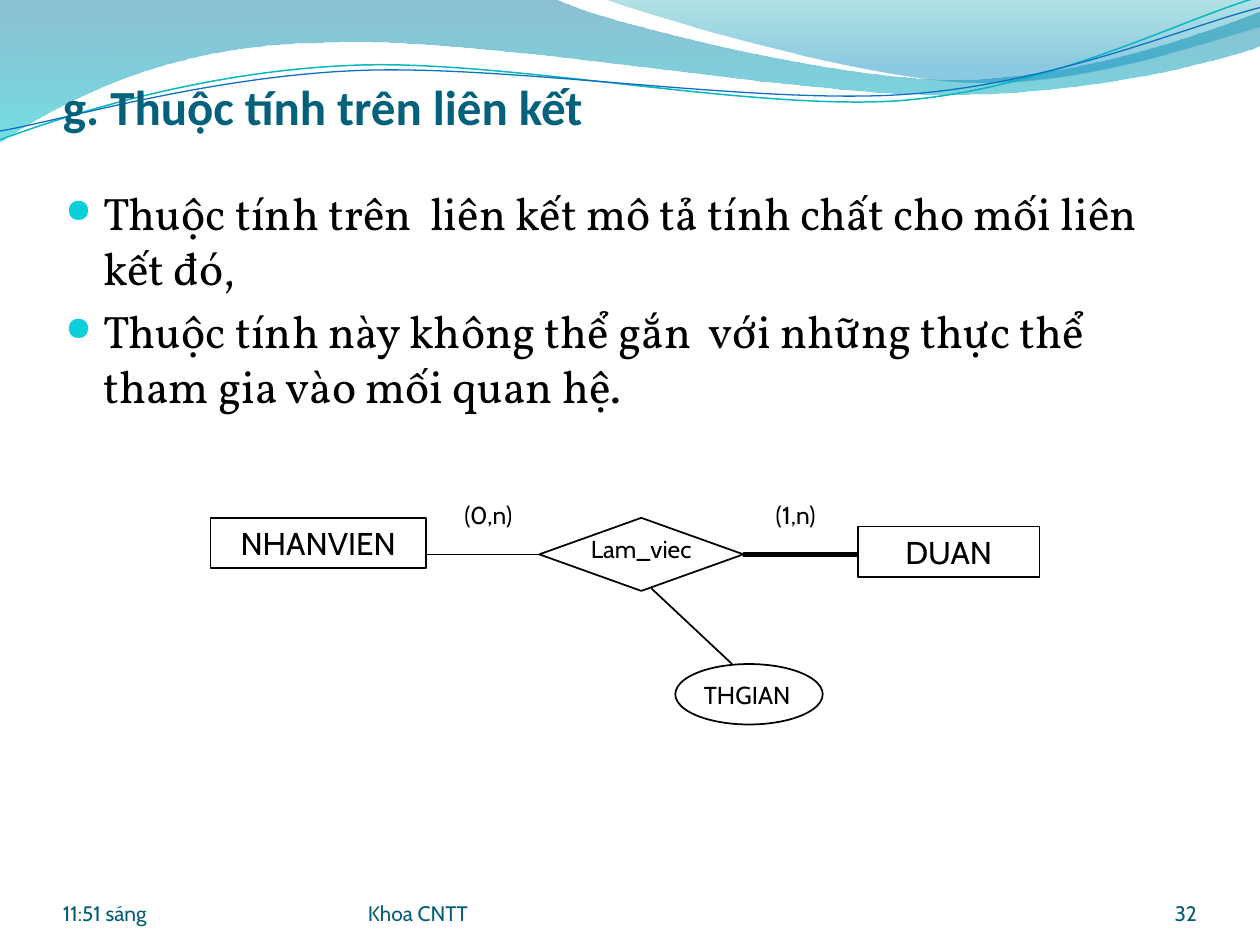
from dataclasses import dataclass
from math import cos, radians, sin

from lxml.etree import SubElement
from pptx import Presentation
from pptx.dml.color import RGBColor as RGB
from pptx.enum.shapes import MSO_CONNECTOR as CONN, MSO_SHAPE as SHAPE
from pptx.enum.text import MSO_ANCHOR as ANCHOR, PP_ALIGN as ALIGN
from pptx.oxml.ns import qn
from pptx.util import Inches, Pt


@dataclass(frozen=True)
class Theme:
    """Colours, fonts and type sizes of the slide."""
    ink: str = "000000"
    title: str = "04617B"
    footer: str = "045D75"
    bullet: str = "0BD0D9"
    teal: str = "09B7BF"
    blue: str = "0F6FC6"
    wide_wave: tuple = ((0, "0074A0", 45), (1, "00C4CD", 55))
    top_wave: tuple = ((0, "00A0A8", 30), (0.8, "008ABF", 45))
    title_font: str = "Calibri"
    body_font: str = "Vollkorn"
    label_font: str = "Cabin"
    title_size: float = 28
    body_size: float = 26
    entity_size: float = 18
    label_size: float = 14
    footer_size: float = 12
    bullet_percent: int = 73


T = Theme()
TILT = 357.3
WIDE_WAVE = [(0, -0.01), (4.4, -0.01), (4.76, 0.17, 6.64, 0.63, 7.58, 0.63),
             (8.53, 0.63, 9.58, 0.26, 10, 0.09), (10.01, 0.36),
             (9.83, 0.44, 8.7, 0.76, 7.46, 0.75), (6.22, 0.75, 3.82, 0.28, 2.57, 0.34),
             (1.29, 0.35, 0.46, 0.83, -0.01, 1.13)]
TOP_WAVE = [(4.79, -0.01), (5.09, 0.11, 6.82, 0.62, 7.69, 0.65),
            (8.56, 0.69, 9.61, 0.32, 10, 0.21), (10, 0)]
TEAL_LINE = [(0, 1.11), (0.48, 0.93, 1.58, 0.57, 2.77, 0.52),
             (3.95, 0.46, 5.93, 0.88, 7.13, 0.8), (8.33, 0.71, 9.38, 0.15, 9.98, -0.02)]
BLUE_LINE = [(0, 1.04), (0.47, 0.96, 1.64, 0.61, 2.83, 0.56),
             (4.03, 0.51, 5.97, 0.83, 7.17, 0.75), (8.36, 0.67, 9.41, 0.21, 10, 0.06)]


def pairs(segment):
    """Split a flat segment into its points."""
    return list(zip(segment[::2], segment[1::2]))


def turn(segments, degrees, cx, cy):
    """Rotate segments clockwise about a centre."""
    c, n = cos(radians(degrees)), sin(radians(degrees))
    return [tuple(v for x, y in pairs(seg)
                  for v in (cx + (x - cx) * c - (y - cy) * n, cy + (x - cx) * n + (y - cy) * c))
            for seg in segments]


def add_outline(s, segments, close):
    """Draw a freeform of straight and cubic segments given in inches."""
    ends = [(Inches(seg[-2]), Inches(seg[-1])) for seg in segments]
    fb = s.shapes.build_freeform(*ends[0])
    fb.add_line_segments(ends[1:], close=close)
    sp = fb.convert_to_shape()
    sp.shadow.inherit = False
    for step, seg in zip(list(sp.element.iter(qn("a:lnTo"))), segments[1:]):
        if len(seg) == 6:
            step.tag = qn("a:cubicBezTo")
            step.remove(step[0])
            for x, y in pairs(seg):
                SubElement(step, qn("a:pt"), x=str(Inches(x) - sp.left), y=str(Inches(y) - sp.top))
    return sp


def add_wave(s, segments, stops):
    """Draw a wave with a translucent vertical gradient."""
    sp = add_outline(s, segments, True)
    sp.line.fill.background()
    sp.fill.gradient()
    sp.fill.gradient_angle = 270
    for stop, (pos, color, _) in zip(sp.fill.gradient_stops, stops):
        stop.position = pos
        stop.color.rgb = RGB.from_string(color)
    for clr, (_, _, alpha) in zip(sp.element.iter(qn("a:srgbClr")), stops):
        SubElement(clr, qn("a:alpha"), val=str(alpha * 1000))


def add_wave_line(s, segments, cy, color, width):
    """Draw a thin tilted wave line."""
    sp = add_outline(s, turn(segments, -TILT, 4.99, cy), False)
    sp.rotation = TILT
    sp.fill.background()
    set_line(sp.line, width, color)


def set_line(line, width=1, color=T.ink):
    """Set the width and colour of a line."""
    line.width = Pt(width)
    line.color.rgb = RGB.from_string(color)


def add_bullet(p):
    """Give a paragraph a hanging round bullet."""
    pPr = p._p.get_or_add_pPr()
    pPr.set("marL", str(Inches(0.3)))
    pPr.set("indent", str(-Inches(0.3)))
    SubElement(SubElement(pPr, qn("a:buClr")), qn("a:srgbClr"), val=T.bullet)
    SubElement(pPr, qn("a:buSzPct"), val=str(T.bullet_percent * 1000))
    SubElement(pPr, qn("a:buChar"), char="●")


def put_text(sp, *lines, font=T.label_font, size=T.label_size, color=T.ink, bold=False,
             align=ALIGN.LEFT, anchor=ANCHOR.TOP, insets=(0.1, 0.05, 0.1, 0.05),
             bullet=False, gap=0):
    """Write formatted paragraphs into a shape."""
    tf = sp.text_frame
    tf.word_wrap = True
    tf.vertical_anchor = anchor
    tf.margin_left, tf.margin_top, tf.margin_right, tf.margin_bottom = map(Inches, insets)
    for i, line in enumerate(lines):
        p = tf.add_paragraph() if i else tf.paragraphs[0]
        p.alignment = align
        if i:
            p.space_before = Pt(gap)
        if bullet:
            add_bullet(p)
        r = p.add_run()
        r.text = line
        r.font.name, r.font.size, r.font.bold = font, Pt(size), bold
        r.font.color.rgb = RGB.from_string(color)


def add_text(s, box, *lines, **fmt):
    """Add a text box."""
    put_text(s.shapes.add_textbox(*map(Inches, box)), *lines, **fmt)


def add_node(s, kind, box):
    """Add an unfilled outlined shape."""
    sp = s.shapes.add_shape(kind, *map(Inches, box))
    sp.shadow.inherit = False
    sp.fill.background()
    set_line(sp.line)
    return sp


def add_link(s, start, end, width=1):
    """Add a straight connector."""
    cx = s.shapes.add_connector(CONN.STRAIGHT, *map(Inches, start + end))
    set_line(cx.line, width)
    SubElement(cx.element.spPr, qn("a:effectLst"))
    return cx


def add_diagram(s):
    """Draw the entity-relationship diagram."""
    for name, box in (("NHANVIEN", (1.67, 4.11, 1.71, 0.4)), ("DUAN", (6.81, 4.18, 1.44, 0.4))):
        put_text(add_node(s, SHAPE.RECTANGLE, box), name, size=T.entity_size, align=ALIGN.CENTER)
    relation = add_node(s, SHAPE.FLOWCHART_DECISION, (4.28, 4.11, 1.62, 0.58))
    add_node(s, SHAPE.OVAL, (5.36, 5.27, 1.17, 0.48))
    for label, box in (("Lam_viec", (4.46, 4.19, 1.26, 0.33)), ("(0,n)", (3.47, 3.92, 0.81, 0.33)),
                       ("(1,n)", (5.91, 3.92, 0.81, 0.33)), ("THGIAN", (5.39, 5.35, 1.08, 0.33))):
        add_text(s, box, label, align=ALIGN.CENTER)
    add_link(s, (3.38, 4.4), (4.28, 4.4)).end_connect(relation, 1)
    add_link(s, (5.9, 4.4), (6.81, 4.4), 3.25).begin_connect(relation, 3)
    add_link(s, (5.17, 4.67), (5.81, 5.27))


def main():
    """Build and save the slide."""
    prs = Presentation()
    prs.slide_width, prs.slide_height = Inches(10), Inches(7.5)
    s = prs.slides.add_slide(prs.slide_layouts[6])
    add_wave(s, WIDE_WAVE, T.wide_wave)
    add_wave(s, TOP_WAVE, T.top_wave)
    add_wave_line(s, TEAL_LINE, 0.58, T.teal, 0.85)
    add_wave_line(s, BLUE_LINE, 0.59, T.blue, 0.75)
    add_text(s, (0.5, 0.39, 9, 0.68), "g. Thuộc tính trên liên kết", font=T.title_font,
             size=T.title_size, color=T.title, bold=True, anchor=ANCHOR.BOTTOM,
             insets=(0, 0.05, 0, 0))
    add_text(s, (0.42, 1.42, 9.17, 5.58),
             "Thuộc tính trên  liên kết mô tả tính chất cho mối liên kết đó,",
             "Thuộc tính này không thể gắn  với những thực thể tham gia vào mối quan hệ.",
             font=T.body_font, size=T.body_size, bullet=True, gap=5.2)
    add_diagram(s)
    for text, x, w, align in (("11:51 sáng", 0.5, 2.33, ALIGN.LEFT),
                              ("Khoa CNTT", 2.92, 3.67, ALIGN.LEFT),
                              ("32", 8.67, 0.83, ALIGN.RIGHT)):
        add_text(s, (x, 6.95, w, 0.4), text, size=T.footer_size, color=T.footer,
                 align=align, anchor=ANCHOR.BOTTOM, insets=(0, 0, 0, 0))
    prs.save("out.pptx")


if __name__ == "__main__":
    main()
